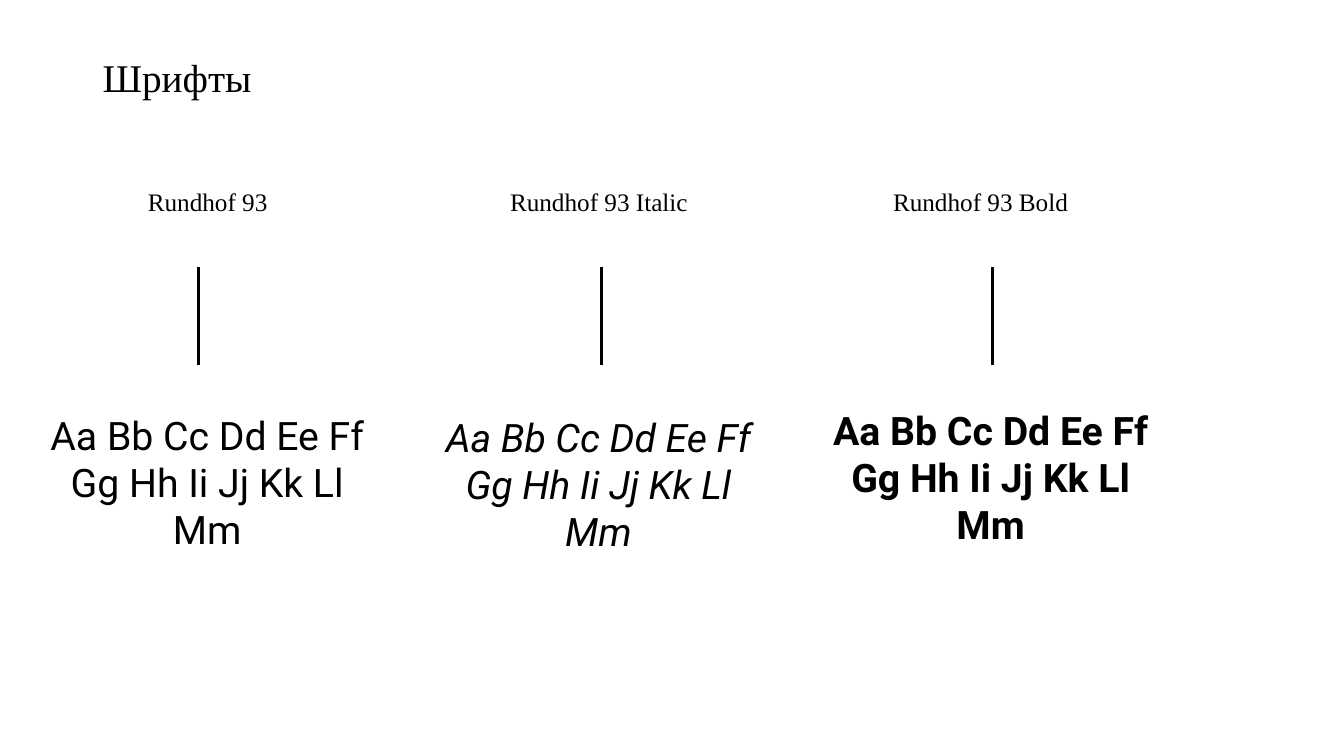
from pptx import Presentation
from pptx.dml.color import RGBColor
from pptx.enum.shapes import MSO_CONNECTOR
from pptx.enum.text import MSO_ANCHOR, PP_ALIGN
from pptx.oxml.ns import qn
from pptx.util import Inches, Pt
from lxml import etree

BLACK = RGBColor(0, 0, 0)
WHITE = RGBColor(255, 255, 255)
LINE = MSO_CONNECTOR.STRAIGHT
MIDDLE, TOP = MSO_ANCHOR.MIDDLE, MSO_ANCHOR.TOP
LEFT, CENTER = PP_ALIGN.LEFT, PP_ALIGN.CENTER
SERIF, SANS = "Times New Roman", "Roboto"
ALPHABET = "Aa Bb Cc Dd Ee Ff Gg Hh Ii Jj Kk Ll Mm"
WIDTH = 3.33

# Name, left, sample top, label left, label width, line x, italic, bold
STYLES = [
    ("Rundhof 93", 0.39, 4.03, 1.31, 1.5, 1.97, False, False),
    ("Rundhof 93 Italic", 4.27, 4.05, 4.95, 1.98, 5.97, True, False),
    ("Rundhof 93 Bold", 8.16, 3.98, 8.65, 2.15, 9.84, False, True),
]


def add_text(slide, box, text, size, font, align=CENTER, wrap=True):
    shape = slide.shapes.add_textbox(*map(Inches, box))
    frame = shape.text_frame
    frame.word_wrap = wrap
    frame.vertical_anchor = TOP
    para = frame.paragraphs[0]
    para.text = text
    para.alignment = align
    para.font.size = Pt(size)
    para.font.name = font
    para.font.color.rgb = BLACK
    return frame


def add_title(slide, box):
    frame = add_text(slide, box, "Шрифты", 28, SERIF, LEFT)
    frame.vertical_anchor = MIDDLE
    frame.paragraphs[0].line_spacing = 0.9


def add_style(slide, style, top):
    name, left, low, edge, width, mid, italic, bold = style
    # Label
    add_text(slide, (edge, top, width, 0.4), name, 18, SERIF, wrap=False)
    # Line between label and sample
    line = slide.shapes.add_connector(
        LINE, Inches(mid), Inches(top + 0.85), Inches(mid), Inches(top + 1.82))
    line.line.color.rgb = BLACK
    line.line.width = Pt(2.25)
    etree.SubElement(line._element.spPr, qn("a:effectLst"))
    # Letter sample
    frame = add_text(slide, (left, low, WIDTH, 1.51), ALPHABET, 28, SANS)
    font = frame.paragraphs[0].font
    font.italic = italic
    font.bold = bold


def main():
    deck = Presentation()
    deck.slide_width = Inches(13.33)
    deck.slide_height = Inches(7.5)
    slide = deck.slides.add_slide(deck.slide_layouts[6])
    slide.background.fill.solid()
    slide.background.fill.fore_color.rgb = WHITE
    add_title(slide, (0.92, 0.28, 11.5, 1.02))
    for style in STYLES:
        add_style(slide, style, 1.8)
    deck.save("out.pptx")


if __name__ == "__main__":
    main()
